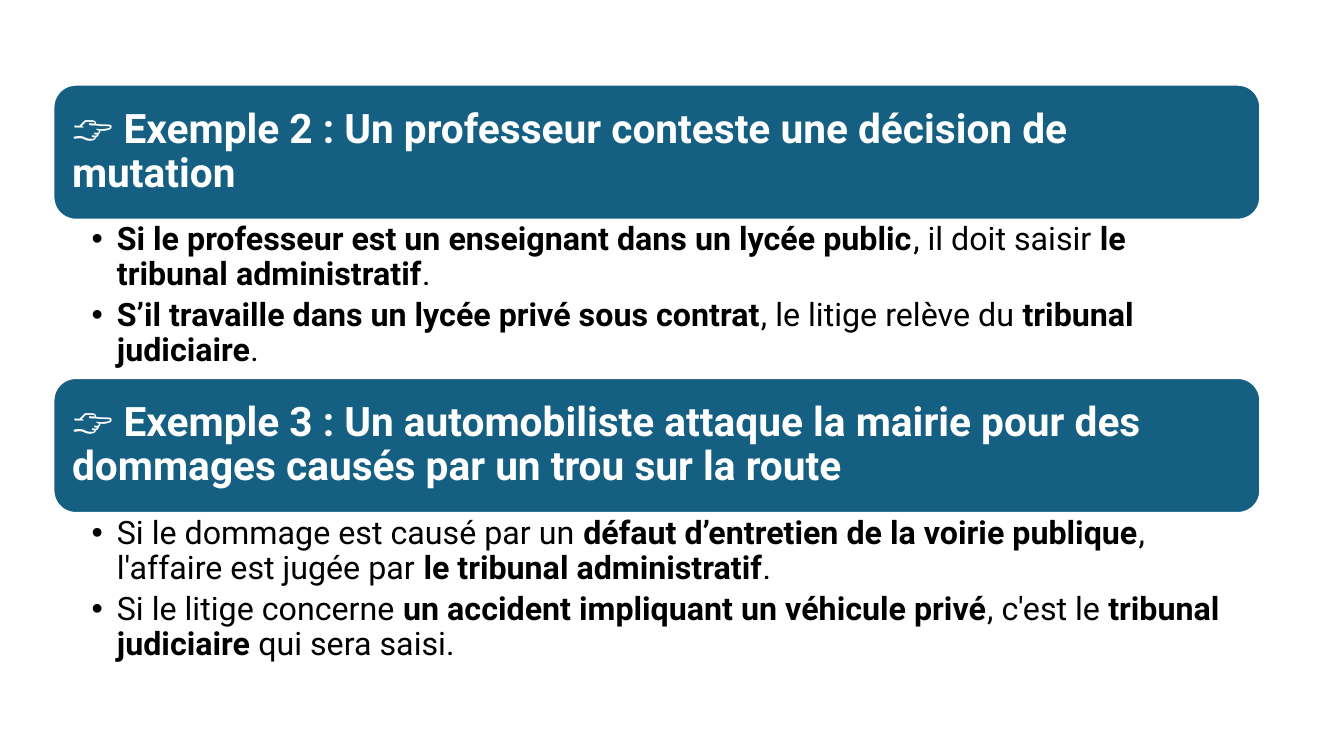
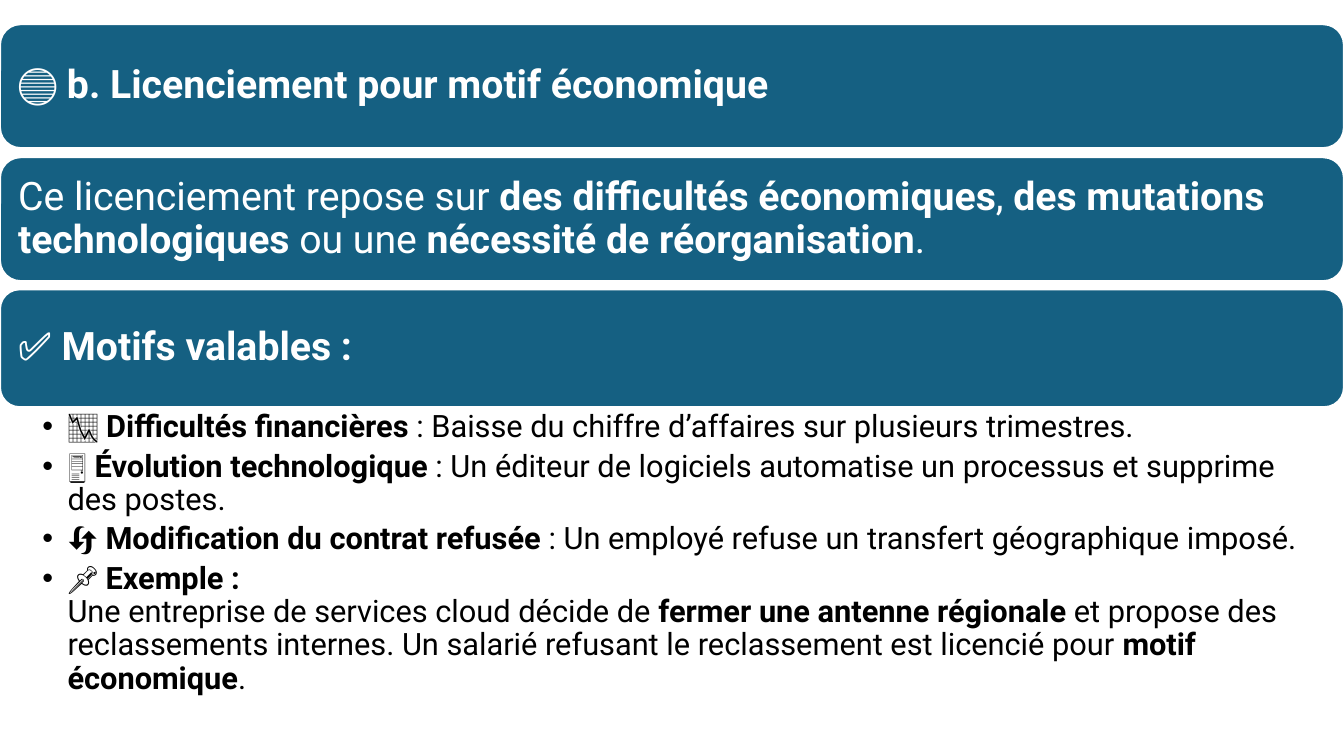
from lxml import etree
from pptx import Presentation
from pptx.dml.color import RGBColor
from pptx.enum import shapes, text
from pptx.oxml.ns import qn
from pptx.util import Inches, Pt

BLUE = RGBColor(0x15, 0x60, 0x82)
WHITE = RGBColor(0xFF, 0xFF, 0xFF)
BLACK = RGBColor(0, 0, 0)
FONT = "Roboto"

prs = Presentation()
prs.slide_width = Inches(13.33)
prs.slide_height = Inches(7.5)


def fill_paragraph(p, marked, size, color, after):
    p.line_spacing = 0.9
    p.space_after = Pt(round(size * after, 1))
    p.alignment = text.PP_ALIGN.LEFT
    for i, part in enumerate(marked.split("**")):
        for j, line in enumerate(part.split("\n")):
            if j:
                p.add_line_break()
            if line:
                r = p.add_run()
                r.text = line
                r.font.name = FONT
                r.font.size = Pt(size)
                r.font.bold = i % 2 == 1
                r.font.color.rgb = color


def set_frame(tf, left, top, right, bottom, anchor):
    tf.word_wrap = True
    tf.margin_left, tf.margin_top = Inches(left), Inches(top)
    tf.margin_right, tf.margin_bottom = Inches(right), Inches(bottom)
    tf.vertical_anchor = anchor


slides = [
    {
        "left": 0.53, "width": 11.97, "band_size": 29, "list_size": 23, "insets": (0.38, 0.23),
        "blocks": [
            (0.84, 1.34, "👉 **Exemple 2 : Un professeur conteste une décision de mutation**"),
            (2.17, 1.58, [
                "**Si le professeur est un enseignant dans un lycée public**, il doit saisir "
                "**le tribunal administratif**.",
                "**S’il travaille dans un lycée privé sous contrat**, le litige relève du "
                "**tribunal judiciaire**.",
            ]),
            (3.75, 1.34, "👉 **Exemple 3 : Un automobiliste attaque la mairie pour des dommages "
                         "causés par un trou sur la route**"),
            (5.09, 1.58, [
                "Si le dommage est causé par un **défaut d’entretien de la voirie publique**, "
                "l'affaire est jugée par **le tribunal administratif**.",
                "Si le litige concerne **un accident impliquant un véhicule privé**, c'est le "
                "**tribunal judiciaire** qui sera saisi.",
            ]),
        ],
    },
    {
        "left": 0, "width": 13.33, "band_size": 28, "list_size": 22, "insets": (0.42, 0.22),
        "blocks": [
            (0.24, 1.23, "**🔵 b. Licenciement pour motif économique**"),
            (1.56, 1.23, "Ce licenciement repose sur **des difficultés économiques**, **des mutations "
                         "technologiques** ou une **nécessité de réorganisation**."),
            (2.87, 1.17, "✅ **Motifs valables :**"),
            (4.04, 3.17, [
                "📉 **Difficultés financières** : Baisse du chiffre d’affaires sur plusieurs trimestres.",
                "🖥️ **Évolution technologique** : Un éditeur de logiciels automatise un processus "
                "et supprime des postes.",
                "🔄 **Modification du contrat refusée** : Un employé refuse un transfert "
                "géographique imposé.",
                "📌 **Exemple :\n**Une entreprise de services cloud décide de **fermer une antenne "
                "régionale** et propose des reclassements internes. Un salarié refusant le "
                "reclassement est licencié pour **motif économique**.",
            ]),
        ],
    },
]

for content in slides:
    s = prs.slides.add_slide(prs.slide_layouts[6])
    for top, height, body in content["blocks"]:
        box = Inches(content["left"]), Inches(top), Inches(content["width"]), Inches(height)
        if isinstance(body, str):
            sp = s.shapes.add_shape(shapes.MSO_SHAPE.ROUNDED_RECTANGLE, *box)
            sp.shadow.inherit = False
            sp.fill.solid()
            sp.fill.fore_color.rgb = BLUE
            sp.line.color.rgb = WHITE
            sp.line.width = Pt(1.5)
            tf = sp.text_frame
            set_frame(tf, 0.12, 0.12, 0.12, 0.12, text.MSO_ANCHOR.MIDDLE)
            fill_paragraph(tf.paragraphs[0], body, content["band_size"], WHITE, 0.35)
            continue
        tf = s.shapes.add_textbox(*box).text_frame
        left_inset, right_inset = content["insets"]
        set_frame(tf, left_inset, 0.04, right_inset, 0.04, text.MSO_ANCHOR.TOP)
        for i, item in enumerate(body):
            p = tf.add_paragraph() if i else tf.paragraphs[0]
            pPr = p._p.get_or_add_pPr()
            pPr.set("marL", str(Inches(0.25)))
            pPr.set("indent", str(-Inches(0.25)))
            etree.SubElement(pPr, qn("a:buFont")).set("typeface", "Arial")
            etree.SubElement(pPr, qn("a:buChar")).set("char", "•")
            fill_paragraph(p, item, content["list_size"], BLACK, 0.2)

prs.save("out.pptx")
